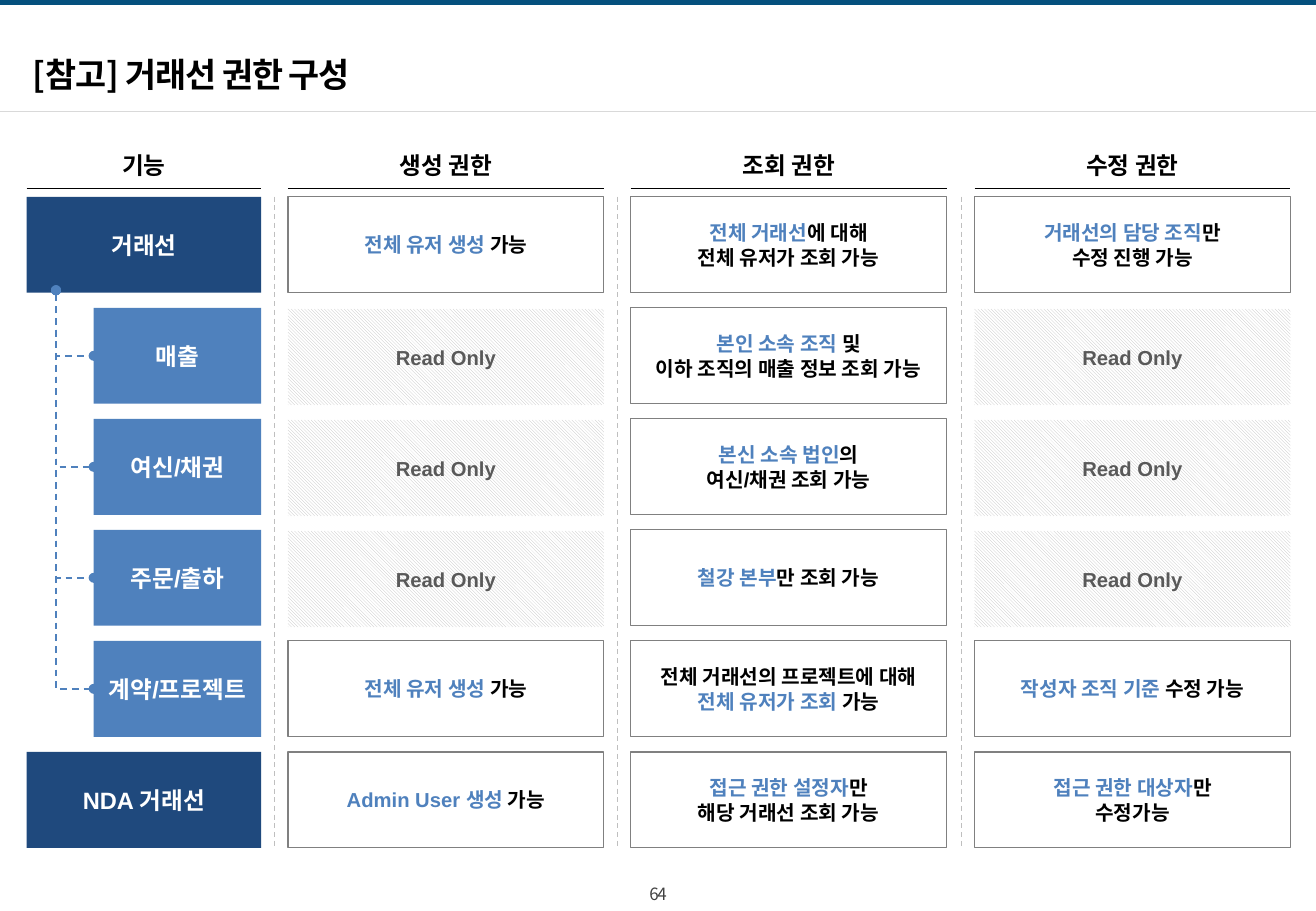
"""Build the slide on customer account permissions."""
from lxml import etree
from pptx import Presentation
from pptx import util as u
from pptx.dml.color import RGBColor
from pptx.enum import dml, shapes, text
from pptx.oxml import ns

NAVY, BLUE, BLACK, WHITE = "1F497D", "4F81BD", "000000", "FFFFFF"
KOREAN, LATIN = "Noto Sans CJK KR", "Arial"
ROW_TOP, ROW_HEIGHT, ROW_PITCH = 1.62, 0.79, (6.19 - 1.62) / 5
COLUMN_WIDTH = 2.6
READ_ONLY = "Read Only"

FUNCTIONS = ["거래선", "매출", "여신/채권", "주문/출하", "계약/프로젝트", "NDA 거래선"]
COLUMNS = [
    (2.37, "생성 권한", [
        "*전체 유저 생성* 가능", READ_ONLY, READ_ONLY, READ_ONLY,
        "*전체 유저 생성* 가능", "*Admin User 생성* 가능"]),
    (5.19, "조회 권한", [
        "*전체 거래선*에 대해\n전체 유저가 조회 가능",
        "*본인 소속 조직* 및\n이하 조직의 매출 정보 조회 가능",
        "*본신 소속 법인*의\n여신/채권 조회 가능",
        "*철강 본부*만 조회 가능",
        "전체 거래선의 프로젝트에 대해\n*전체 유저가 조회* 가능",
        "*접근 권한 설정자*만\n해당 거래선 조회 가능"]),
    (8.02, "수정 권한", [
        "*거래선의 담당 조직*만\n수정 진행 가능", READ_ONLY, READ_ONLY, READ_ONLY,
        "*작성자 조직 기준* 수정 가능", "*접근 권한 대상자*만\n수정가능"]),
]


def colour(value):
    """Turn a hex string into a colour."""
    return RGBColor.from_string(value)


class Painter:
    """Draw styled elements on the current page."""

    def __init__(self, page):
        """Keep the page to draw on."""
        self.page = page

    def letter(self, box, content, size, ink, font=LATIN, bold=True,
               align=text.PP_ALIGN.CENTER, spacing=None):
        """Fill a box with lines whose starred parts are blue."""
        frame = box.text_frame
        frame.vertical_anchor = text.MSO_ANCHOR.MIDDLE
        for index, row in enumerate(content.split("\n")):
            para = frame.paragraphs[0] if index == 0 else frame.add_paragraph()
            para.alignment = align
            para.font.size, para.font.bold, para.font.name = u.Pt(size), bold, font
            para.font.color.rgb = colour(ink)
            etree.SubElement(para.font._element, ns.qn("a:ea"), typeface=KOREAN)
            for part, words in enumerate(row.split("*")):
                if words:
                    span = para.add_run()
                    span.text = words
                    span.font.color.rgb = colour(BLUE if part % 2 else ink)
                    if spacing:
                        span.font._element.set("spc", str(spacing))

    def label(self, left, top, width, height, content, size, ink=BLACK, inset=0, **style):
        """Place a text box."""
        box = self.page.shapes.add_textbox(*map(u.Inches, (left, top, width, height)))
        frame = box.text_frame
        frame.word_wrap = bool(inset)
        frame.margin_left = frame.margin_right = u.Inches(inset)
        frame.margin_top = frame.margin_bottom = u.Inches(inset / 2)
        self.letter(box, content, size, ink, KOREAN, **style)

    def block(self, left, top, width, height, fill, content="", size=14, ink=WHITE, border=None):
        """Place a rectangle; no fill colour means hatching."""
        box = self.page.shapes.add_shape(
            shapes.MSO_SHAPE.RECTANGLE, *map(u.Inches, (left, top, width, height)))
        box.shadow.inherit = False
        if fill:
            box.fill.solid()
            box.fill.fore_color.rgb = colour(fill)
        else:
            box.fill.patterned()
            box.fill.pattern = dml.MSO_PATTERN.LIGHT_DOWNWARD_DIAGONAL
            box.fill.fore_color.rgb = colour("BFBFBF")
            box.fill.back_color.rgb = colour(WHITE)
        if border:
            box.line.color.rgb = colour(border)
            box.line.width = u.Pt(0.75)
        else:
            box.line.fill.background()
        if content:
            box.text_frame.word_wrap = False
            self.letter(box, content, size, ink)

    def rule(self, left, top, right, bottom, ink, width, dashed=False,
             kind=shapes.MSO_CONNECTOR.STRAIGHT):
        """Draw a line and return it."""
        line = self.page.shapes.add_connector(
            kind, *map(u.Inches, (left, top, right, bottom)))
        line.line.color.rgb = colour(ink)
        line.line.width = u.Pt(width)
        if dashed:
            line.line.dash_style = dml.MSO_LINE.DASH
        etree.SubElement(line._element.spPr, ns.qn("a:effectLst"))
        return line

    def branch(self, left, top, right, bottom):
        """Draw a dashed line down and then right, with round ends."""
        across, down = right - left, bottom - top
        middle_x, middle_y = (left + right) / 2, (top + bottom) / 2
        line = self.rule(middle_x - down / 2, middle_y - across / 2,
                         middle_x + down / 2, middle_y + across / 2,
                         BLUE, 1, True, shapes.MSO_CONNECTOR.ELBOW)
        properties = line._element.spPr
        frame = properties.find(ns.qn("a:xfrm"))
        frame.set("rot", str(270 * 60000))
        frame.set("flipH", "1")
        properties.find(ns.qn("a:prstGeom")).set("prst", "bentConnector2")
        stroke = properties.find(ns.qn("a:ln"))
        for end in ("a:headEnd", "a:tailEnd"):
            etree.SubElement(stroke, ns.qn(end), type="oval")

    def header(self, left, width, content):
        """Draw a column heading with its underline."""
        self.label(left, 1.19, width, 0.34, content, 14, inset=0.1)
        self.rule(left, 1.55, left + width, 1.55, BLACK, 0.5)


def main():
    """Compose and save the deck."""
    deck = Presentation()
    deck.slide_width, deck.slide_height = u.Inches(10.83), u.Inches(7.5)
    painter = Painter(deck.slides.add_slide(deck.slide_layouts[6]))
    painter.block(0, 0, 10.83, 0.04, "05507D")
    painter.rule(0, 0.92, 10.83, 0.92, "D9D9D9", 0.75)
    painter.label(5.34, 7.27, 0.15, 0.17, "64", 10, "404040", bold=False, spacing=-70)
    painter.label(0.27, 0.44, 2.88, 0.34, "[참고] 거래선 권한 구성", 20,
                  align=text.PP_ALIGN.LEFT, spacing=-70)

    tops = [ROW_TOP + ROW_PITCH * row for row in range(len(FUNCTIONS))]
    painter.header(0.22, 1.93, "기능")
    for row, (top, name) in enumerate(zip(tops, FUNCTIONS)):
        is_child = 0 < row < len(FUNCTIONS) - 1
        left, fill = (0.77, BLUE) if is_child else (0.22, NAVY)
        painter.block(left, top, 2.15 - left, ROW_HEIGHT, fill, name)
        if is_child:
            painter.branch(0.46, 2.39, left, top + ROW_HEIGHT / 2)

    for left, heading, cells in COLUMNS:
        painter.header(left, COLUMN_WIDTH, heading)
        painter.rule(left - 0.11, ROW_TOP, left - 0.11, 6.98, "BFBFBF", 0.75, True)
        for top, cell in zip(tops, cells):
            if cell == READ_ONLY:
                painter.block(left, top + 0.01, COLUMN_WIDTH, ROW_HEIGHT, None, cell, 12, "595959")
            else:
                painter.block(left, top, COLUMN_WIDTH, ROW_HEIGHT, WHITE, cell, 12, BLACK, "808080")
    deck.save("out.pptx")


if __name__ == "__main__":
    main()
